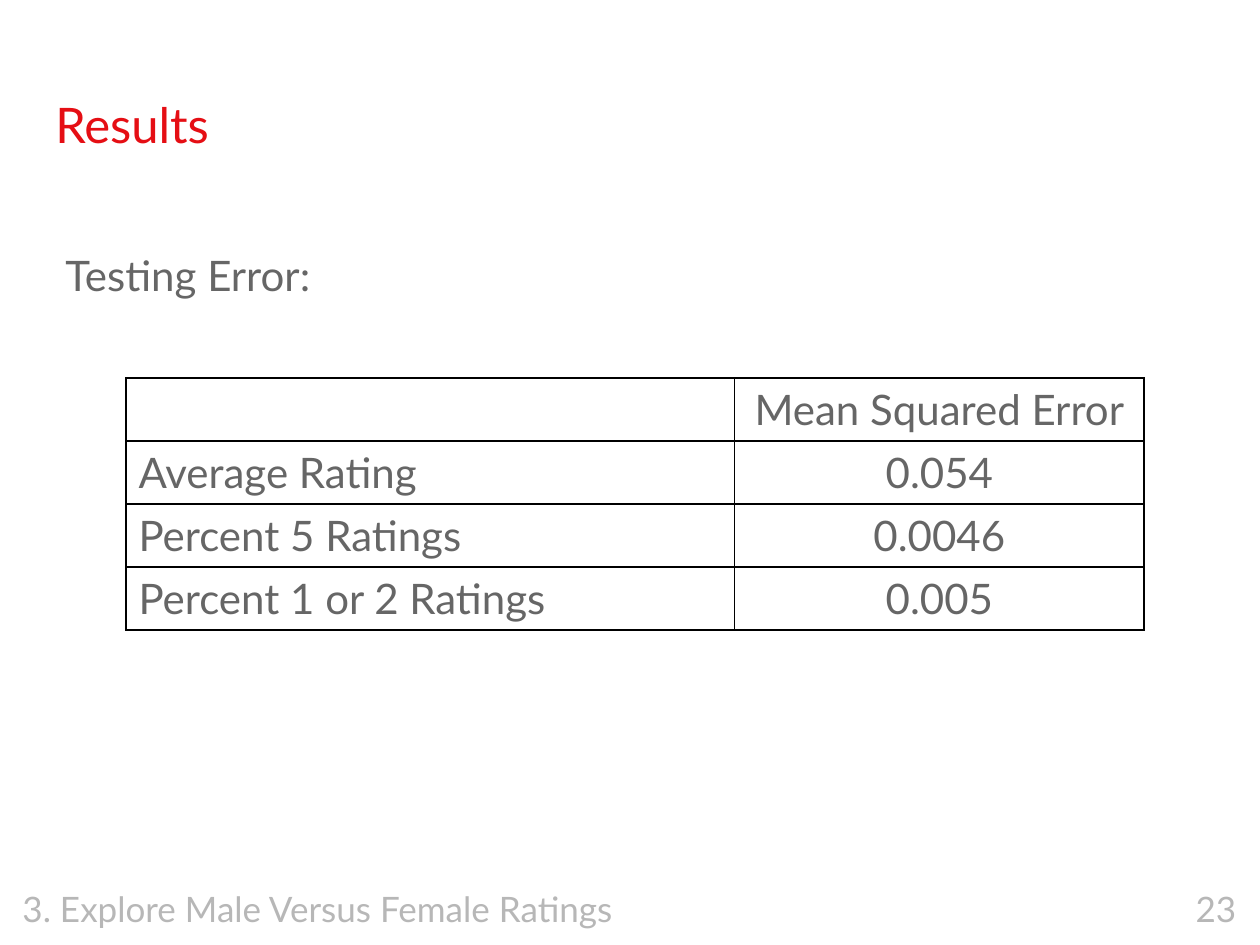
from lxml.etree import SubElement as Sub
from pptx import Presentation
from pptx.dml.color import RGBColor as RGB
from pptx.enum.text import MSO_ANCHOR as Anchor, PP_ALIGN as Align
from pptx.oxml.ns import qn
from pptx.util import Inches, Pt

RED = RGB(0xE5, 0x0E, 0x14)
GREY = RGB(0x66, 0x66, 0x66)
PALE = RGB(0xB7, 0xB7, 0xB7)
WHITE = RGB(0xFF, 0xFF, 0xFF)

deck = Presentation()
deck.slide_width, deck.slide_height = Inches(10), Inches(7.5)
slide = deck.slides.add_slide(deck.slide_layouts[6])


def style(para, size, color, align):
    para.alignment = align
    for run in para.runs:
        run.font.name = "Lato"
        run.font.size = Pt(size)
        run.font.bold = False
        run.font.color.rgb = color


def label(box, text, size, color, align=Align.LEFT, anchor=Anchor.TOP):
    frame = slide.shapes.add_textbox(*map(Inches, box)).text_frame
    frame.word_wrap = True
    frame.vertical_anchor = anchor
    frame.margin_left = frame.margin_right = Inches(0.1)
    frame.margin_top = frame.margin_bottom = Inches(0.1)
    para = frame.paragraphs[0]
    para.text = text
    style(para, size, color, align)
    return para


label((0.34, 0.65, 9.32, 0.83), "Results", 28, RED)
intro = label((0.34, 1.68, 9.32, 4.98), "Testing Error:", 24, GREY)
intro.line_spacing = 1.5
props = intro._p.get_or_add_pPr()
props.set("marL", str(Inches(0.5)))
props.set("indent", str(Inches(-0.42)))

rows = [
    ("", "Mean Squared Error"),
    ("Average Rating", "0.054"),
    ("Percent 5 Ratings", "0.0046"),
    ("Percent 1 or 2 Ratings", "0.005"),
]
wide = [4.83, 3.25]
tall = 0.5
grid = slide.shapes.add_table(
    len(rows), len(wide), Inches(1), Inches(3),
    Inches(sum(wide)), Inches(tall * len(rows))).table
grid.first_row = grid.horz_banding = False
for col, width in zip(grid.columns, wide):
    col.width = Inches(width)
for r, row in enumerate(rows):
    for c, text in enumerate(row):
        cell = grid.cell(r, c)
        para = cell.text_frame.paragraphs[0]
        para.text = text
        style(para, 24, GREY, Align.CENTER if c else Align.LEFT)
        props = cell._tc.get_or_add_tcPr()
        for side in ("lnL", "lnR", "lnT", "lnB"):
            line = Sub(props, qn("a:" + side), w=str(Pt(1)))
            fill = Sub(line, qn("a:solidFill"))
            Sub(fill, qn("a:srgbClr"), val="000000")
        cell.fill.solid()
        cell.fill.fore_color.rgb = WHITE

label((0.08, 6.98, 6.11, 0.46), "3. Explore Male Versus Female Ratings",
      20, PALE, anchor=Anchor.MIDDLE)
label((6.5, 6.98, 3.41, 0.46), "23", 20, PALE, Align.RIGHT, Anchor.MIDDLE)

deck.save("out.pptx")
